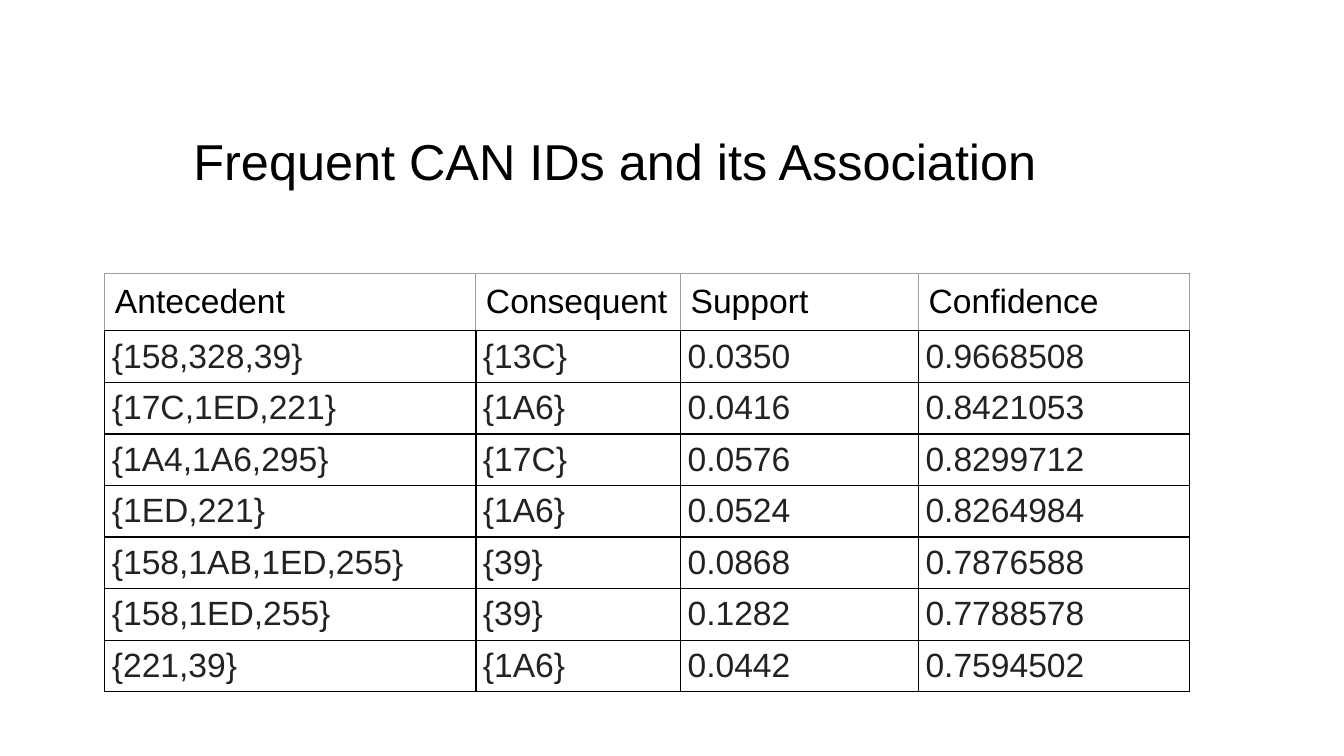
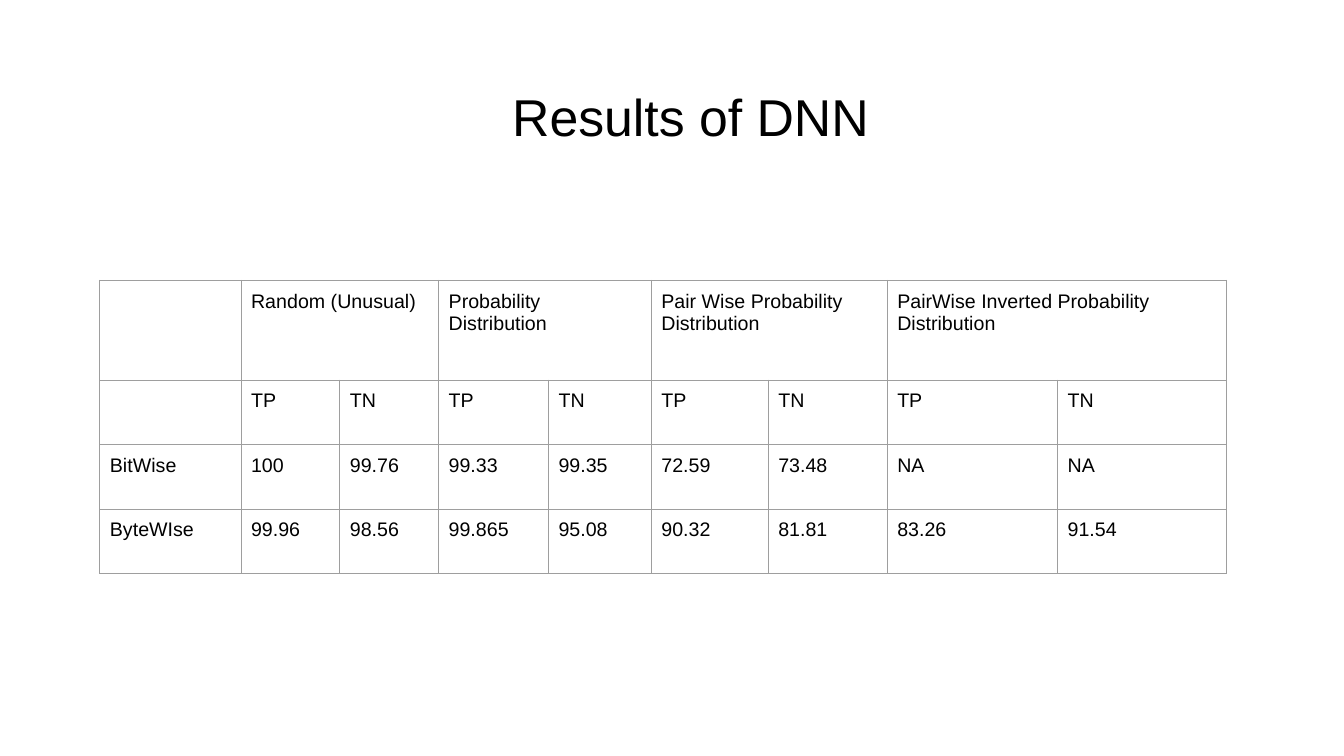
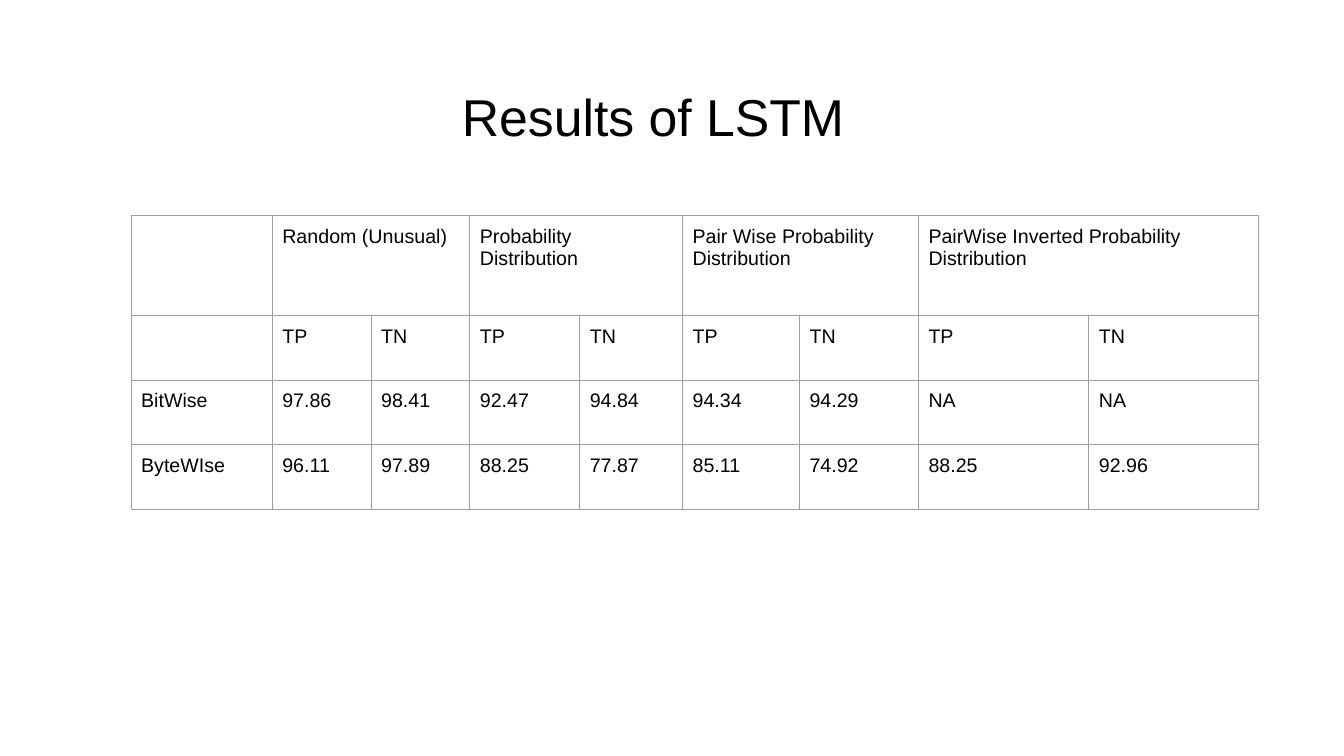
"""Build three table slides on CAN ID associations and detection results."""
import dataclasses

import lxml.etree
import pptx
import pptx.dml.color
import pptx.enum.text
import pptx.oxml.ns
import pptx.util

Inches = pptx.util.Inches
Pt = pptx.util.Pt


@dataclasses.dataclass(frozen=True)
class Theme:
    font: str = "Arial"
    ink: str = "000000"
    soft_ink: str = "222222"
    grid: str = "9E9E9E"
    paper: str = "FFFFFF"
    heading_size: int = 36
    title_size: int = 37
    large_size: int = 24
    small_size: int = 14
    title_spacing: float = 1.1
    wide_inset: float = 0.1
    tight_inset: float = 0.07
    title_inset: float = 0.13
    thin_rule: float = 0.75
    strong_rule: float = 1


class Deck:
    def __init__(self, theme):
        self.theme = theme
        self.presentation = pptx.Presentation()
        self.presentation.slide_width = Inches(13.33)
        self.presentation.slide_height = Inches(7.5)

    def add_slide(self):
        self.slide = self.presentation.slides.add_slide(self.presentation.slide_layouts[6])
        background = self.slide.background.fill
        background.solid()
        background.fore_color.rgb = pptx.dml.color.RGBColor.from_string(self.theme.paper)

    def style(self, paragraph, size, colour):
        paragraph.font.name = self.theme.font
        paragraph.font.size = Pt(size)
        paragraph.font.color.rgb = pptx.dml.color.RGBColor.from_string(colour)

    def set_insets(self, holder, inset):
        for side in ("left", "top", "right", "bottom"):
            setattr(holder, f"margin_{side}", Inches(inset))

    def title(self, text, box, size, inset, margin=0, indent=0):
        frame = self.slide.shapes.add_textbox(*map(Inches, box)).text_frame
        frame.word_wrap = True
        frame.vertical_anchor = pptx.enum.text.MSO_ANCHOR.TOP
        self.set_insets(frame, inset)
        heading = frame.paragraphs[0]
        heading.text = text
        heading.line_spacing = self.theme.title_spacing
        properties = heading._p.get_or_add_pPr()
        properties.set("marL", str(Inches(margin)))
        properties.set("indent", str(Inches(indent)))
        self.style(heading, size, self.theme.ink)

    def border(self, cell, side, rule):
        colour, width = rule
        qn = pptx.oxml.ns.qn
        line = lxml.etree.SubElement(
            cell._tc.get_or_add_tcPr(), qn(f"a:ln{side}"), w=str(Pt(width))
        )
        fill = lxml.etree.SubElement(line, qn("a:solidFill"))
        lxml.etree.SubElement(fill, qn("a:srgbClr"), val=colour)

    def cell(self, cell, text, size, colour, inset, rules):
        self.set_insets(cell, inset)
        for side, rule in zip("LRTB", rules):
            self.border(cell, side, rule)
        cell.fill.background()
        cell.text = text
        self.style(cell.text_frame.paragraphs[0], size, colour)

    def table(self, left, top, widths, heights, fill_cell):
        table = self.slide.shapes.add_table(
            len(heights), len(widths), Inches(left), Inches(top),
            Inches(sum(widths)), Inches(sum(heights)),
        ).table
        table.first_row = table.horz_banding = False
        for column, width in zip(table.columns, widths):
            column.width = Inches(width)
        for row, height in zip(table.rows, heights):
            row.height = Inches(height)
        for row in range(len(heights)):
            for column in range(len(widths)):
                fill_cell(table.cell(row, column), row, column)
        return table

    def association_table(self, left, top, records):
        theme = self.theme
        thin, strong = (theme.grid, theme.thin_rule), (theme.ink, theme.strong_rule)

        def fill_cell(cell, row, column):
            if row == 0:
                look = theme.ink, theme.wide_inset, (thin, thin, thin, strong)
            else:
                look = theme.soft_ink, theme.tight_inset, (strong,) * 4
            self.cell(cell, records[row][column], theme.large_size, *look)

        heights = [0.57] + [0.51] * (len(records) - 1)
        self.table(left, top, (3.68, 2.03, 2.36, 2.69), heights, fill_cell)

    def results_table(self, left, top, results):
        theme = self.theme
        groups = (
            "Random (Unusual)",
            "Probability Distribution",
            "Pair Wise Probability Distribution",
            "PairWise Inverted Probability Distribution",
        )
        group_row = [""] + [text for group in groups for text in (group, "")]
        records = [group_row, [""] + ["TP", "TN"] * len(groups), *results]
        rules = ((theme.grid, theme.thin_rule),) * 4

        def fill_cell(cell, row, column):
            self.cell(cell, records[row][column], theme.small_size, theme.ink,
                      theme.wide_inset, rules)

        widths = (1.4, 0.98, 0.98, 1.09, 1.02, 1.16, 1.18, 1.69, 1.68)
        table = self.table(left, top, widths, (0.99, 0.64, 0.64, 0.64), fill_cell)
        for column in range(1, len(widths), 2):
            table.cell(0, column).merge(table.cell(0, column + 1))

    def results_slide(self, title, margin, left, top, results):
        self.add_slide()
        self.title(title, (0.45, 0.65, 12.42, 0.83), self.theme.title_size,
                   self.theme.title_inset, margin, 0.5)
        self.results_table(left, top, results)


ASSOCIATIONS = (
    ("Antecedent", "Consequent", "Support", "Confidence"),
    ("{158,328,39}", "{13C}", "0.0350", "0.9668508"),
    ("{17C,1ED,221}", "{1A6}", "0.0416", "0.8421053"),
    ("{1A4,1A6,295}", "{17C}", "0.0576", "0.8299712"),
    ("{1ED,221}", "{1A6}", "0.0524", "0.8264984"),
    ("{158,1AB,1ED,255}", "{39}", "0.0868", "0.7876588"),
    ("{158,1ED,255}", "{39}", "0.1282", "0.7788578"),
    ("{221,39}", "{1A6}", "0.0442", "0.7594502"),
)
DNN_RESULTS = (
    ("BitWise", "100", "99.76", "99.33", "99.35", "72.59", "73.48", "NA", "NA"),
    ("ByteWIse", "99.96", "98.56", "99.865", "95.08", "90.32", "81.81", "83.26", "91.54"),
)
LSTM_RESULTS = (
    ("BitWise", "97.86", "98.41", "92.47", "94.84", "94.34", "94.29", "NA", "NA"),
    ("ByteWIse", "96.11", "97.89", "88.25", "77.87", "85.11", "74.92", "88.25", "92.96"),
)


def main():
    deck = Deck(Theme())
    deck.add_slide()
    deck.association_table(1.04, 2.71, ASSOCIATIONS)
    deck.title("Frequent CAN IDs and its Association", (1.82, 1.13, 9.05, 1.01),
               deck.theme.heading_size, deck.theme.wide_inset)
    deck.results_slide("Results of DNN", 4, 0.99, 2.78, DNN_RESULTS)
    deck.results_slide("Results of LSTM", 3.5, 1.3, 2.14, LSTM_RESULTS)
    deck.presentation.save("out.pptx")


if __name__ == "__main__":
    main()
